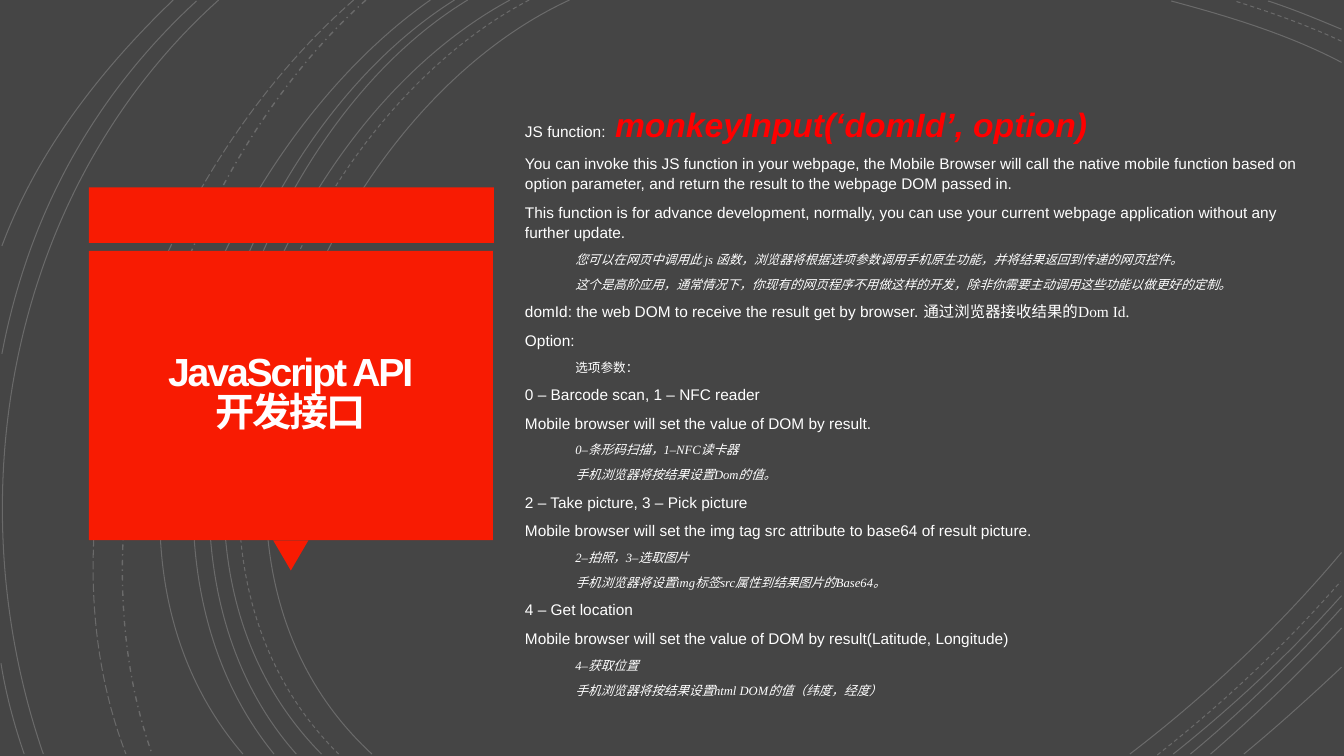
from dataclasses import dataclass

from lxml import etree
from pptx import Presentation
from pptx.dml.color import RGBColor
from pptx.enum import dml, shapes, text
from pptx.oxml import ns
from pptx.util import Pt

COLORS = {"ground": "454545", "red": "F81B02", "code": "FF0000",
          "white": "FFFFFF", "title": "FFFEFF"}
ARIAL, CJK, TIMES = "Arial", "Noto Sans CJK SC", "Times New Roman"
SOLID, DASH = dml.MSO_LINE.SOLID, dml.MSO_LINE.DASH
TOP, BOTTOM, RIGHT = 0.7, 538.6, 958.3


@dataclass
class Arc:
    """A cubic curve: start, two control points, end."""
    points: tuple
    dash: dml.MSO_LINE = SOLID
    width: float = 0.75


@dataclass
class Block:
    kind: shapes.MSO_SHAPE
    box: tuple
    rotation: int = 0


@dataclass
class Run:
    text: str
    face: str = ARIAL
    size: float = 11
    color: str = "white"
    bold: bool = False
    italic: bool = False


@dataclass
class Line:
    runs: list
    indented: bool = False


def main_line(words: str) -> Line:
    return Line([Run(words)])


def note(*pieces: str, italic: bool = True) -> Line:
    """An indented small line; each piece takes the face of its script."""
    return Line([Run(piece, CJK if any(c >= "、" for c in piece) else TIMES,
                     9, italic=italic) for piece in pieces], True)


ARCS = [
    # left sweep
    Arc(((406.8, 0), (226.8, 82.8), (103, 388.8), (265.7, BOTTOM))),
    Arc(((378, 0), (205.2, 90), (88.6, 386.6), (241.9, BOTTOM)), DASH),
    Arc(((364.3, 0), (194.4, 91.4), (79.2, 386.6), (229.7, BOTTOM))),
    Arc(((334.1, 0), (175.7, 95.8), (79.2, 389.5), (211.7, BOTTOM))),
    Arc(((324.7, 0), (166.3, 99.4), (69.8, 383.8), (195.8, BOTTOM))),
    Arc(((307.4, 0), (156.2, 105.8), (38.2, 380.9), (173.5, BOTTOM))),
    Arc(((261.4, 0), (126.7, 119.5), (46.8, 366.5), (108.7, BOTTOM)),
        dml.MSO_LINE.DASH_DOT, 1),
    Arc(((252.7, 0), (113, 121.7), (20.9, 359.3), (90, BOTTOM)),
        dml.MSO_LINE.LONG_DASH),
    Arc(((156.2, 0), (7.9, 133.2), (-33.1, 352.8), (31, BOTTOM))),
    Arc(((140.4, TOP), (66.2, 69.1), (20.2, 154.1), (1.4, 252.7))),
    Arc(((0.7, 473.8), (4.3, 496.1), (10.1, 517.7), (17.3, BOTTOM))),
    Arc(((123.8, 0), (72, 49.7), (26.6, 108), (1.4, 175.7))),
    # top right
    Arc(((RIGHT, 44.6), (920.2, 24.5), (877, 11.5), (836.6, TOP))),
    Arc(((RIGHT, 29.5), (933.8, 18), (907.2, 8.6), (882, TOP)), DASH),
    Arc(((RIGHT, 20.9), (941, 13.7), (923.8, 6.5), (905.8, TOP))),
    # bottom right
    Arc(((807.1, BOTTOM), (861.8, 496.8), (913.7, 447.8), (RIGHT, 394.6))),
    Arc(((826.6, 539.3), (873.4, 502.6), (918, 460.8), (957.6, 415.4)), DASH),
    Arc(((838.1, BOTTOM), (880.6, 504.7), (921.6, 466.6), (RIGHT, 425.5))),
    Arc(((850.3, BOTTOM), (888.5, 506.9), (924.5, 471.6), (RIGHT, 434.2))),
    Arc(((864.7, BOTTOM), (897.1, 510.5), (928.8, 480.2), (RIGHT, 448.6))),
    Arc(((888.5, BOTTOM), (912.2, 519.1), (935.3, 498.2), (RIGHT, 476.6))),
]

BLOCKS = [
    Block(shapes.MSO_SHAPE.RECTANGLE, (63.4, 133.9, 289.4, 39.6)),
    Block(shapes.MSO_SHAPE.ISOSCELES_TRIANGLE, (195.1, 385.9, 25.2, 21.6), 180),
    Block(shapes.MSO_SHAPE.RECTANGLE, (63.4, 179.3, 288.7, 206.6)),
]

TITLE = [Run("JavaScript API", ARIAL, 28, "title", True),
         Run("开发接口", CJK, 28, "title", True)]

BODY = [
    Line([Run("JS function:"), Run(" ", size=24, bold=True),
          Run("monkeyInput(‘domId’, option)", ARIAL, 24, "code", True, True)]),
    main_line("You can invoke this JS function in your webpage, the Mobile Browser "
              "will call the native mobile function based on option parameter, "
              "and return the result to the webpage DOM passed in."),
    main_line("This function is for advance development, normally, you can use "
              "your current webpage application without any further update."),
    note("您可以在网页中调用此", " js ",
         "函数，浏览器将根据选项参数调用手机原生功能，并将结果返回到传递的网页控件。"),
    note("这个是高阶应用，通常情况下，你现有的网页程序不用做这样的开发，"
         "除非你需要主动调用这些功能以做更好的定制。"),
    Line([Run("domId: the web DOM to receive the result get by browser. "),
          Run("通过浏览器接收结果的", CJK), Run("Dom Id.", TIMES)]),
    main_line("Option:"),
    note("选项参数：", italic=False),
    main_line("0 – Barcode scan, 1 – NFC reader"),
    main_line("Mobile browser will set the value of DOM by result."),
    note("0–", "条形码扫描，", "1–NFC", "读卡器"),
    note("手机浏览器将按结果设置", "Dom", "的值。"),
    main_line("2 – Take picture, 3 – Pick picture"),
    main_line("Mobile browser will set the img tag src attribute to base64 "
              "of result picture."),
    note("2–", "拍照，", "3–", "选取图片"),
    note("手机浏览器将设置", "img", "标签", "src", "属性到结果图片的", "Base64", "。"),
    main_line("4 – Get location"),
    main_line("Mobile browser will set the value of DOM by result(Latitude, Longitude)"),
    note("4–", "获取位置"),
    note("手机浏览器将按结果设置", "html DOM", "的值（纬度，经度）"),
]


def rgb(name: str) -> RGBColor:
    return RGBColor.from_string(COLORS[name])


def draw_arc(slide, arc: Arc) -> None:
    start, *rest = [(Pt(x), Pt(y)) for x, y in arc.points]
    builder = slide.shapes.build_freeform(*start)
    builder.add_line_segments(rest, close=False)
    sp = builder.convert_to_shape()
    segments = list(sp._element.iter(ns.qn("a:lnTo")))
    curve = etree.SubElement(segments[0].getparent(), ns.qn("a:cubicBezTo"))
    for segment in segments:
        curve.append(segment[0])
        segment.getparent().remove(segment)
    sp.shadow.inherit = False
    sp.fill.background()
    sp.line.color.rgb = rgb("white")
    sp.line.width = Pt(arc.width)
    sp.line.dash_style = arc.dash
    color = next(sp.line._ln.iter(ns.qn("a:srgbClr")))
    etree.SubElement(color, ns.qn("a:alpha"), val="20000")


def draw_block(slide, block: Block) -> None:
    sp = slide.shapes.add_shape(block.kind, *map(Pt, block.box))
    sp.rotation = block.rotation
    sp.shadow.inherit = False
    sp.fill.solid()
    sp.fill.fore_color.rgb = rgb("red")
    sp.line.fill.background()


def add_frame(slide, box: tuple):
    """Return the text frame of a wrapped, vertically centred text box."""
    tf = slide.shapes.add_textbox(*map(Pt, box)).text_frame
    tf.word_wrap = True
    tf.vertical_anchor = text.MSO_ANCHOR.MIDDLE
    return tf


def add_run(p, run: Run):
    r = p.add_run()
    r.text = run.text
    r.font.name, r.font.size = run.face, Pt(run.size)
    r.font.bold, r.font.italic = run.bold, run.italic
    r.font.color.rgb = rgb(run.color)
    etree.SubElement(r.font._element, ns.qn("a:ea"), typeface=run.face)
    return r


def draw_title(slide) -> None:
    tf = add_frame(slide, (69.8, 185, 275.8, 193.7))
    tf.margin_left = tf.margin_right = tf.margin_top = tf.margin_bottom = Pt(18)
    p = tf.paragraphs[0]
    p.alignment = text.PP_ALIGN.CENTER
    p.line_spacing, p.space_after = 0.85, Pt(6)
    for i, run in enumerate(TITLE):
        if i:
            p.add_line_break()
        add_run(p, run).font._element.set("spc", "-150")


def draw_body(slide) -> None:
    tf = add_frame(slide, (367.9, 58.3, 574.6, 452.9))
    for i, line in enumerate(BODY):
        p = tf.add_paragraph() if i else tf.paragraphs[0]
        p.line_spacing, p.space_after = 1.1, Pt(6)
        if line.indented:
            p.level = 1
            p._p.get_or_add_pPr().set("marL", str(Pt(36)))
        for run in line.runs:
            add_run(p, run)


def main() -> None:
    prs = Presentation()
    prs.slide_width, prs.slide_height = Pt(960), Pt(540)
    slide = prs.slides.add_slide(prs.slide_layouts[6])
    slide.background.fill.solid()
    slide.background.fill.fore_color.rgb = rgb("ground")
    for arc in ARCS:
        draw_arc(slide, arc)
    for block in BLOCKS:
        draw_block(slide, block)
    draw_title(slide)
    draw_body(slide)
    prs.save("out.pptx")


if __name__ == "__main__":
    main()
